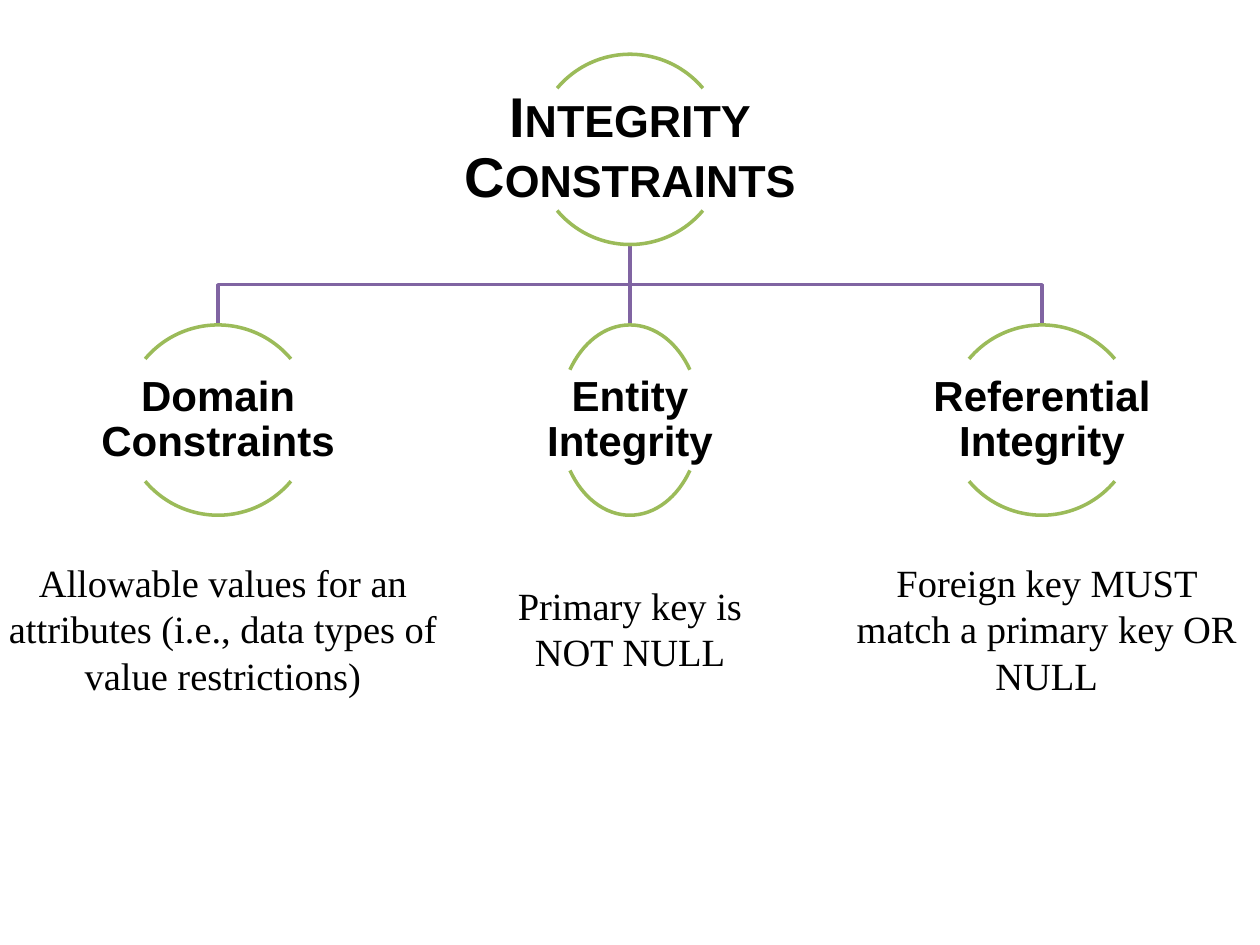
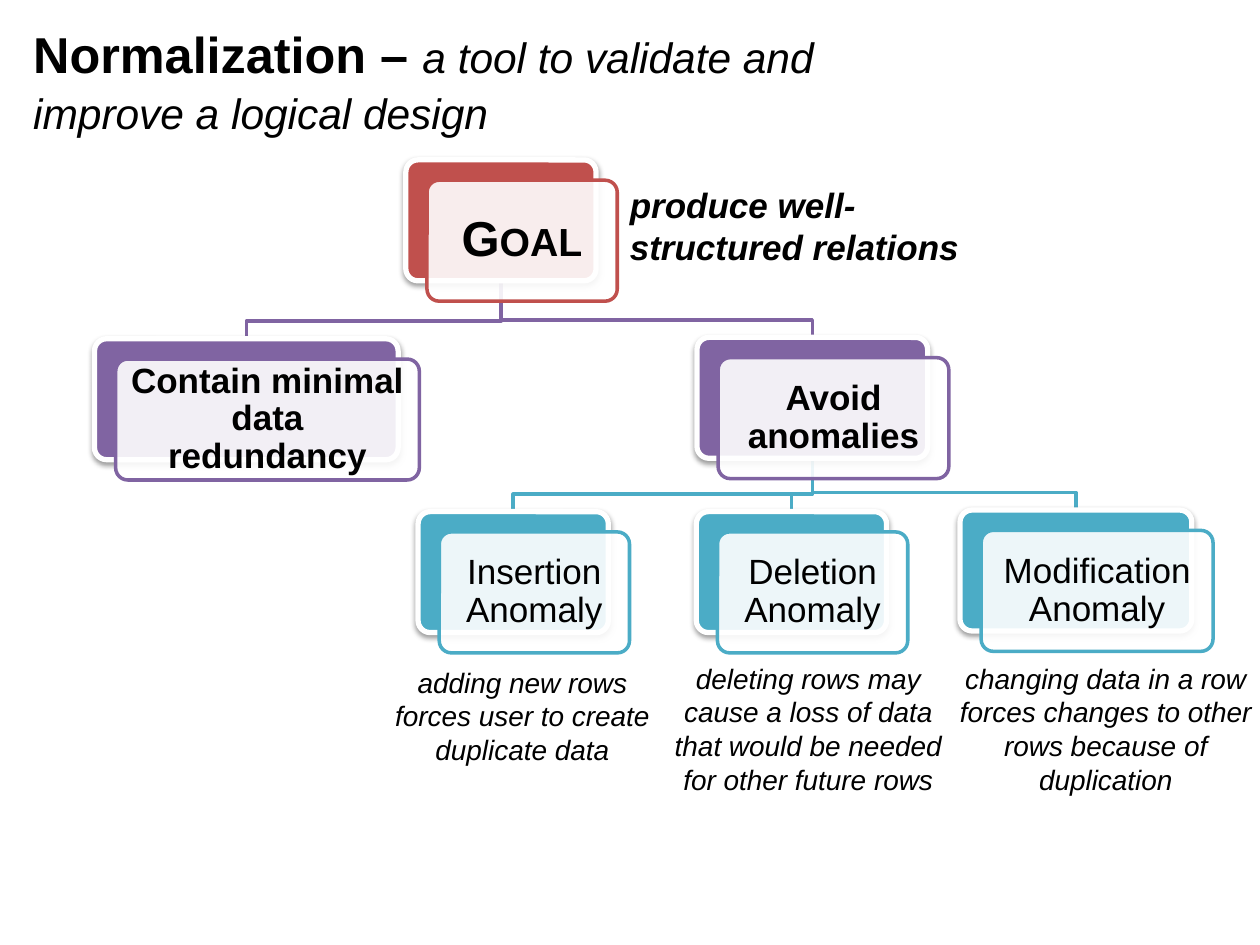
from dataclasses import dataclass

from lxml.etree import SubElement
from pptx import Presentation
from pptx.dml.color import RGBColor
from pptx.enum.shapes import MSO_CONNECTOR, MSO_SHAPE
from pptx.enum.text import MSO_ANCHOR as Anchor, MSO_AUTO_SIZE as AutoSize, PP_ALIGN as Align
from pptx.oxml.ns import qn
from pptx.util import Pt

BLACK, WHITE = "000000", "FFFFFF"
RED, GREEN, PURPLE, TEAL = "C0504D", "9BBB59", "8064A2", "4BACC6"
SANS, SERIF = "Arial", "Times New Roman"
LINE_WIDTH = 2

ARC_HEIGHT = 108.7
ARC_ANGLES = ((132, 192), (24, 84))  # upper arc, lower arc

CARD_HEIGHT = 69.1
CARD_SHIFT = (12.1, 11.6)
CARD_MARGIN = 2


@dataclass(frozen=True)
class Style:
    size: float
    font: str = SANS
    bold: bool = False
    italic: bool = False
    small_caps: bool = False


@dataclass(frozen=True)
class Box:
    left: float
    top: float
    width: float
    height: float

    def lengths(self) -> tuple:
        return Pt(self.left), Pt(self.top), Pt(self.width), Pt(self.height)


@dataclass(frozen=True)
class Note:
    text: str
    box: Box
    indent: float = 0
    align: Align = Align.CENTER


@dataclass(frozen=True)
class ArcNode:
    text: str
    center: float
    top: float
    width: float
    style: Style


@dataclass(frozen=True)
class Card:
    text: str
    left: float
    top: float
    width: float
    color: str
    style: Style
    inset: float = 5.76

    @property
    def center(self) -> float:
        return self.left + self.width / 2

    @property
    def bottom(self) -> float:
        return self.top + CARD_HEIGHT


NODE_STYLE = Style(24, bold=True)
ROOT = ArcNode("Integrity Constraints", 360, 31, 108.7, Style(32, bold=True, small_caps=True))
COLUMN_STEP = 235.4
CONSTRAINTS = [
    ArcNode(text, ROOT.center + i * COLUMN_STEP, 185.7, width, NODE_STYLE)
    for i, text, width in (
        (-1, "Domain Constraints", 108.7),
        (0, "Entity Integrity", 80.8),
        (1, "Referential Integrity", 108.7),
    )
]
CONSTRAINT_NOTES = [
    Note("Allowable values for an attributes (i.e., data types of value restrictions)",
         Box(-2.2, 316, 259.2, 87.2)),
    Note("Primary key is NOT NULL", Box(267, 329.2, 186, 60.5)),
    Note("Foreign key MUST match a primary key OR NULL", Box(481.8, 316, 232.6, 87.2)),
]

BRANCH_STYLE, LEAF_STYLE = Style(20, bold=True), Style(20)
GOAL = Card("Goal", 231.9, 91.4, 108.7, RED, Style(28, bold=True, small_caps=True), 8.64)
REDUNDANCY = Card("Contain minimal data redundancy", 54, 193.6, 173.5, PURPLE, BRANCH_STYLE)
AVOID = Card("Avoid anomalies", 398.3, 192.8, 131.8, PURPLE, BRANCH_STYLE)
INSERTION = Card("Insertion Anomaly", 238.9, 292.4, 108.7, TEAL, LEAF_STYLE)
DELETION = Card("Deletion Anomaly", 397.9, 292.4, 108.7, TEAL, LEAF_STYLE)
MODIFICATION = Card("Modification Anomaly", 548.6, 291.5, 132.5, TEAL, LEAF_STYLE)
CHILDREN = [(AVOID, (MODIFICATION, DELETION, INSERTION)), (GOAL, (AVOID, REDUNDANCY))]
CARDS = [GOAL, REDUNDANCY, AVOID, INSERTION, DELETION, MODIFICATION]
ANOMALY_NOTES = [
    Note("adding new rows forces user to create duplicate data",
         Box(175, 376.7, 211, 65.4), 36),
    Note("deleting rows may cause a loss of data that would be needed for other future rows",
         Box(369.4, 374.4, 185, 85)),
    Note("changing data in a row forces changes to other rows because of duplication",
         Box(495.4, 374.4, 236.9, 85), 36),
]
GOAL_NOTE = Note("produce well-structured relations", Box(316.8, 101.5, 257.8, 55.4), 36, Align.LEFT)


def rgb(color: str) -> RGBColor:
    return RGBColor.from_string(color)


def set_font(font, style: Style) -> None:
    font.name, font.size = style.font, Pt(style.size)
    font.bold, font.italic = style.bold, style.italic
    font.color.rgb = rgb(BLACK)
    if style.small_caps:
        font._rPr.set("cap", "small")


def set_line(sp, color: str, width: float = LINE_WIDTH) -> None:
    sp.line.color.rgb = rgb(color)
    sp.line.width = Pt(width)


def add_text(s, text: str, box: Box, style: Style, align: Align = Align.CENTER):
    sp = s.shapes.add_textbox(*box.lengths())
    tf = sp.text_frame
    tf.word_wrap = True
    p = tf.paragraphs[0]
    p.text, p.alignment = text, align
    set_font(p.font, style)
    return tf


def add_label(s, text: str, box: Box, style: Style, inset: float) -> None:
    """Add text centred both ways, with tight lines and equal insets."""
    tf = add_text(s, text, box, style)
    tf.vertical_anchor = Anchor.MIDDLE
    tf.margin_left = tf.margin_top = tf.margin_right = tf.margin_bottom = Pt(inset)
    tf.paragraphs[0].line_spacing = 0.9


def add_note(s, note: Note, style: Style) -> None:
    tf = add_text(s, note.text, note.box, style, note.align)
    tf.auto_size = AutoSize.SHAPE_TO_FIT_TEXT
    if note.indent:
        p = tf.paragraphs[0]
        p.level = 1
        pPr = p._p.get_or_add_pPr()
        pPr.set("marL", str(Pt(note.indent)))
        pPr.set("indent", "0")


def add_elbow(s, start: tuple, end: tuple, rise: float, color: str) -> None:
    """Draw down, across and down again; the crossing lies `rise` above the end."""
    (x1, y1), (x2, y2) = start, end
    bend = y2 - rise
    builder = s.shapes.build_freeform(Pt(x1), Pt(y1))
    builder.add_line_segments(
        [(Pt(x), Pt(y)) for x, y in ((x1, bend), (x2, bend), (x2, y2))], close=False)
    sp = builder.convert_to_shape()
    sp.shadow.inherit = False
    sp.fill.background()
    set_line(sp, color)


def add_straight(s, start: tuple, end: tuple, color: str) -> None:
    line = s.shapes.add_connector(MSO_CONNECTOR.STRAIGHT, *map(Pt, start + end))
    SubElement(line._element.spPr, qn("a:effectLst"))
    set_line(line, color)


def add_arc_node(s, node: ArcNode) -> None:
    box = Box(node.center - node.width / 2, node.top, node.width, ARC_HEIGHT)
    for angles in ARC_ANGLES:
        sp = s.shapes.add_shape(MSO_SHAPE.ARC, *box.lengths())
        sp.adjustments[0], sp.adjustments[1] = angles
        sp.shadow.inherit = False
        sp.fill.background()
        set_line(sp, GREEN)
    label = Box(node.center - node.width, node.top + 19.5, 2 * node.width, 69.8)
    add_label(s, node.text, label, node.style, 1.44)


def add_round_rect(s, box: Box, fill: str, line: str, line_width: float):
    sp = s.shapes.add_shape(MSO_SHAPE.ROUNDED_RECTANGLE, *box.lengths())
    sp.adjustments[0] = 0.1
    sp.shadow.inherit = False
    sp.fill.solid()
    sp.fill.fore_color.rgb = rgb(fill)
    set_line(sp, line, line_width)
    return sp


def add_alpha(clr, percent: int) -> None:
    SubElement(clr, qn("a:alpha"), val=str(percent * 1000))


def add_drop_shadow(sp) -> None:
    effects = sp._element.spPr.find(qn("a:effectLst"))
    shadow = SubElement(effects, qn("a:outerShdw"), blurRad=str(Pt(3.1)), dist=str(Pt(1.6)),
                        dir="5400000", rotWithShape="0")
    add_alpha(SubElement(shadow, qn("a:srgbClr"), val=BLACK), 38)


def add_card(s, card: Card) -> None:
    dx, dy = CARD_SHIFT
    back = Box(card.left, card.top, card.width, CARD_HEIGHT)
    front = Box(card.left + dx, card.top + dy, card.width, CARD_HEIGHT)
    label = Box(front.left + CARD_MARGIN, front.top + CARD_MARGIN,
                front.width - 2 * CARD_MARGIN, front.height - 2 * CARD_MARGIN)
    add_drop_shadow(add_round_rect(s, back, card.color, WHITE, 3))
    pane = add_round_rect(s, front, WHITE, card.color, LINE_WIDTH)
    add_alpha(pane._element.spPr.find(qn("a:solidFill"))[0], 90)
    add_label(s, card.text, label, card.style, card.inset)


def set_title(s, box: Box, parts: list) -> None:
    title = s.shapes.title
    title.left, title.top, title.width, title.height = box.lengths()
    tf = title.text_frame
    tf.word_wrap, tf.auto_size = True, AutoSize.NONE
    tf.vertical_anchor = Anchor.MIDDLE
    p = tf.paragraphs[0]
    p.alignment, p.line_spacing = Align.LEFT, 1.08
    for text, style in parts:
        r = p.add_run()
        r.text = text
        set_font(r.font, style)


def build_integrity_slide(prs) -> None:
    s = prs.slides.add_slide(prs.slide_layouts[6])
    start = (ROOT.center, ROOT.top + ARC_HEIGHT)
    for node in reversed(CONSTRAINTS):
        end = (node.center, node.top)
        if node.center == ROOT.center:
            add_straight(s, start, end, PURPLE)
        else:
            add_elbow(s, start, end, 23, PURPLE)
    for node in [ROOT, *CONSTRAINTS]:
        add_arc_node(s, node)
    for note in CONSTRAINT_NOTES:
        add_note(s, note, Style(22, SERIF))


def build_normalization_slide(prs) -> None:
    s = prs.slides.add_slide(prs.slide_layouts[5])
    set_title(s, Box(11.8, 21.6, 541.4, 46), [
        ("Normalization – ", Style(28.8, bold=True)),
        ("a tool to validate and improve a logical design", Style(24.3, italic=True)),
    ])
    for parent, children in CHILDREN:
        for child in children:
            add_elbow(s, (parent.center, parent.bottom), (child.center, child.top), 10, child.color)
    for card in CARDS:
        add_card(s, card)
    for note in ANOMALY_NOTES:
        add_note(s, note, Style(16, italic=True))
    add_note(s, GOAL_NOTE, Style(20, bold=True, italic=True))


def main() -> None:
    prs = Presentation()
    prs.slide_width, prs.slide_height = Pt(720), Pt(540)
    build_integrity_slide(prs)
    build_normalization_slide(prs)
    prs.save("out.pptx")


if __name__ == "__main__":
    main()
